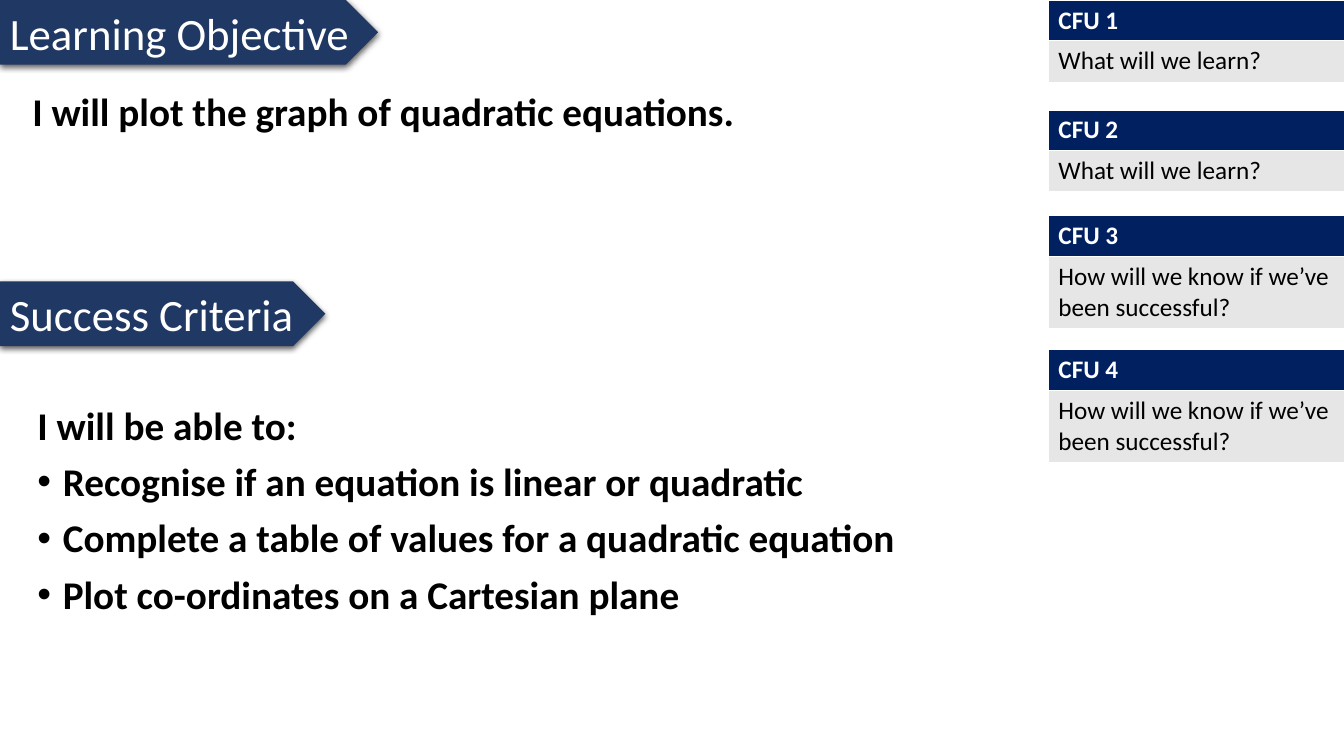
from lxml import etree
from pptx import Presentation
from pptx.dml.color import RGBColor
from pptx.enum.shapes import MSO_SHAPE
from pptx.enum.text import MSO_ANCHOR, MSO_AUTO_SIZE, PP_ALIGN
from pptx.oxml import parse_xml
from pptx.oxml.ns import nsdecls, qn
from pptx.util import Cm, Pt

PENTAGON = MSO_SHAPE.PENTAGON
TOP, MIDDLE = MSO_ANCHOR.TOP, MSO_ANCHOR.MIDDLE
LEFT = PP_ALIGN.LEFT
NO_AUTOFIT = MSO_AUTO_SIZE.NONE

FONT = "Calibri"
BANNER, HEADER, PANEL = "203864", "002060", "E7E6E6"
WHITE, BLACK = "FFFFFF", "000000"
HEADER_H, LINE_H, TWO_LINE_H = 0.99, 1.04, 1.79

LEARN = "What will we learn?"
SUCCESS = "How will we know if we’ve been successful?"
# top in cm, question, row height in cm
CHECKS = [
    (0, LEARN, LINE_H),
    (2.77, LEARN, LINE_H),
    (5.44, SUCCESS, TWO_LINE_H),
    (8.81, SUCCESS, TWO_LINE_H),
]
CRITERIA = [
    "Recognise if an equation is linear or quadratic",
    "Complete a table of values for a quadratic equation",
    "Plot co-ordinates on a Cartesian plane",
]


def rgb(value):
    return RGBColor.from_string(value)


def write(p, text, size=18, color=BLACK, bold=False):
    p.alignment = LEFT
    r = p.add_run()
    r.text = text
    r.font.name = FONT
    r.font.size = Pt(size)
    r.font.bold = bold
    r.font.color.rgb = rgb(color)


def add_soft_shadow(s):
    s._element.spPr.append(parse_xml(
        f'<a:effectLst {nsdecls("a")}>'
        '<a:outerShdw blurRad="57150" dist="19050" dir="5400000" algn="ctr" rotWithShape="0">'
        '<a:srgbClr val="000000"><a:alpha val="63000"/></a:srgbClr>'
        '</a:outerShdw></a:effectLst>'))


def add_banner(slide, text, top, width):
    s = slide.shapes.add_shape(PENTAGON, 0, Cm(top), Cm(width), Cm(1.63))
    s.fill.solid()
    s.fill.fore_color.rgb = rgb(BANNER)
    s.line.fill.background()
    add_soft_shadow(s)
    tf = s.text_frame
    tf.word_wrap = False
    tf.vertical_anchor = MIDDLE
    write(tf.paragraphs[0], text, size=32, color=WHITE)


def fill_body(s, box, lead, bullets=()):
    """Place a body placeholder and write a plain lead line, then bullets."""
    s.left, s.top, s.width, s.height = (Cm(v) for v in box)
    tf = s.text_frame
    tf.word_wrap = True
    tf.auto_size = NO_AUTOFIT
    tf.vertical_anchor = TOP
    for i, text in enumerate([lead, *bullets]):
        p = tf.add_paragraph() if i else tf.paragraphs[0]
        pPr = p._p.get_or_add_pPr()
        indent = Cm(0.64) if i else 0
        pPr.set("marL", str(indent))
        pPr.set("indent", str(-indent))
        if i:
            etree.SubElement(pPr, qn("a:buFont")).set("typeface", "Arial")
            etree.SubElement(pPr, qn("a:buChar")).set("char", "•")
        else:
            etree.SubElement(pPr, qn("a:buNone"))
        p.line_spacing = 0.9
        p.space_before = Pt(10 if i else 0)
        write(p, text, size=28, bold=True)


def add_check(slide, box, label, question):
    left, top, width, question_h = box
    table = slide.shapes.add_table(
        2, 1, Cm(left), Cm(top), Cm(width), Cm(HEADER_H + question_h)).table
    rows = [
        (label, HEADER_H, HEADER, WHITE, True),
        (question, question_h, PANEL, BLACK, False),
    ]
    for i, (text, height, fill, color, bold) in enumerate(rows):
        table.rows[i].height = Cm(height)
        cell = table.cell(i, 0)
        cell.fill.solid()
        cell.fill.fore_color.rgb = rgb(fill)
        write(cell.text_frame.paragraphs[0], text, color=color, bold=bold)


def add_objectives_slide(prs):
    slide = prs.slides.add_slide(prs.slide_layouts[3])
    title, objective, criteria = slide.placeholders
    title._element.getparent().remove(title._element)

    add_banner(slide, "Learning Objective", 0, 9.53)
    fill_body(objective, (0.56, 2.21, 24.64, 6.35),
              "I will plot the graph of quadratic equations.")
    add_banner(slide, "Success Criteria", 7.09, 8.2)
    fill_body(criteria, (0.69, 10.11, 24.36, 6.93), "I will be able to:", CRITERIA)

    for n, (top, question, height) in enumerate(CHECKS, 1):
        add_check(slide, (26.42, top, 7.47, height), f"CFU {n}", question)


def main():
    prs = Presentation()
    prs.slide_width, prs.slide_height = Cm(33.87), Cm(19.05)
    add_objectives_slide(prs)
    prs.save("out.pptx")


if __name__ == "__main__":
    main()
